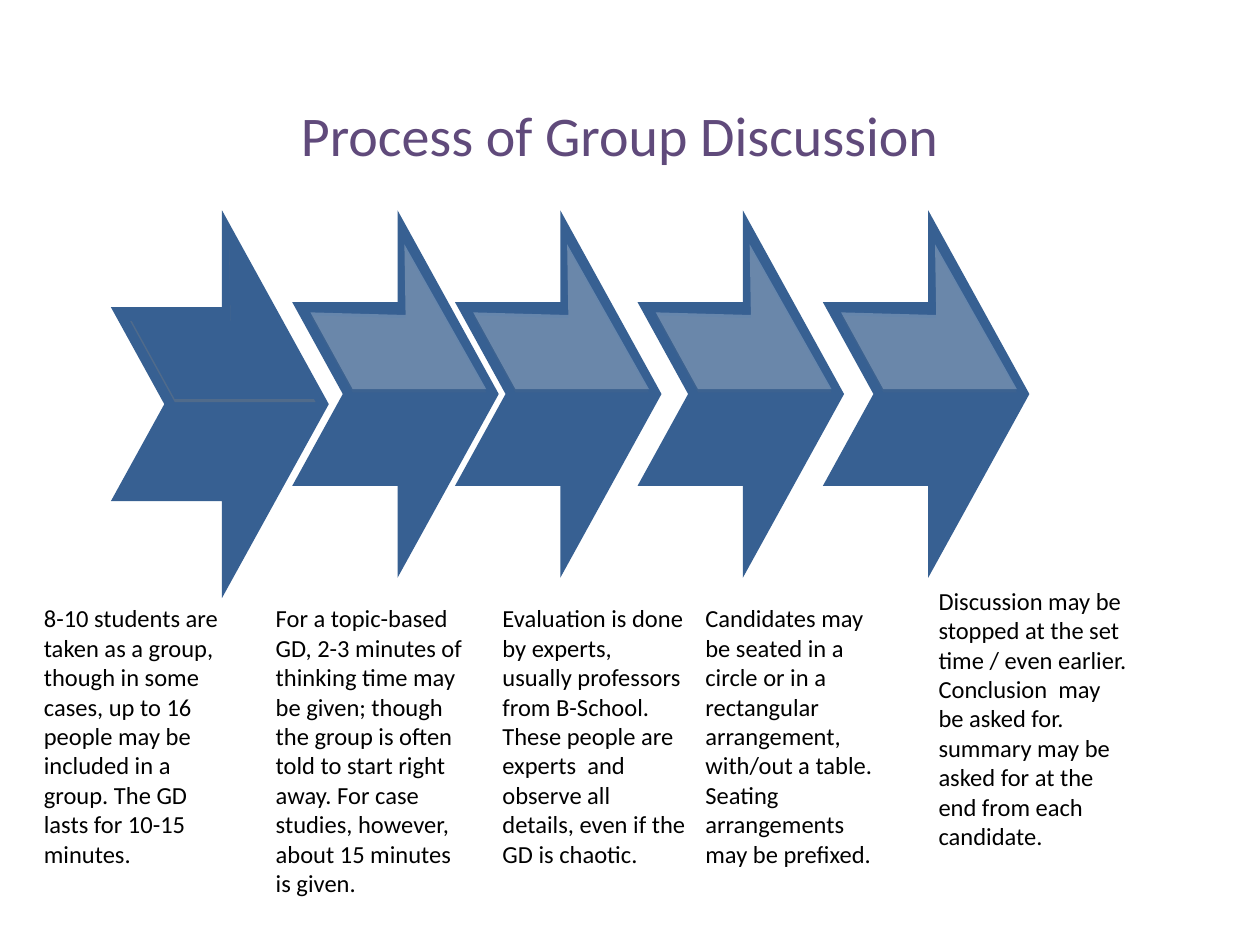
from lxml import etree
from pptx import Presentation
from pptx import util as u
from pptx.dml.color import RGBColor
from pptx.enum import shapes, text
from pptx.oxml.ns import qn

ARROW_WIDTH, ARROW_HEIGHT = 118, 210
GLINT = [(10.4, 58.3), (64.8, 59.8), (64.1, 19.4), (110.9, 102.2), (34.6, 102.2)]

STEPS = [
    (63.4, 1.055, (18, 341.3, 115.2, 160),
     "8-10 students are taken as a group, though in some cases, up to 16 people "
     "may be included in a group. The GD lasts for 10-15 minutes."),
    (167, 1, (150.5, 341.3, 124.6, 177),
     "For a topic-based GD, 2-3 minutes of thinking time may be given; though the "
     "group is often told to start right away. For case studies, however, about "
     "15 minutes is given."),
    (260, 1, (280, 341.3, 118.8, 160),
     "Evaluation is done by experts, usually professors from B-School. These people "
     "are experts  and observe all details, even if the GD is chaotic."),
    (364.3, 1, (396, 341.3, 113, 160),
     "Candidates may be seated in a circle or in a rectangular arrangement, with/out "
     "a table. Seating arrangements may be prefixed."),
    (470.2, 1, (529.2, 331.2, 123.1, 160),
     "Discussion may be stopped at the set time / even earlier. Conclusion  may be "
     "asked for.  summary may be asked for at the end from each candidate."),
]


def color(value):
    return RGBColor.from_string(value)


def set_alpha(parent, percent):
    etree.SubElement(parent, qn("a:alpha"), val=str(percent * 1000))


def write(frame, wording, size=14, fill="000000", align=None, before=0):
    paragraph = frame.paragraphs[0]
    paragraph.alignment = align
    paragraph.space_before = u.Pt(before)
    run = paragraph.add_run()
    run.text = wording
    run.font.name = "Calibri"
    run.font.size = u.Pt(size)
    run.font.color.rgb = color(fill)


class Deck:
    blue = "376092"
    purple = "604A7B"

    def __init__(self):
        self.presentation = Presentation()
        self.presentation.slide_width = u.Pt(720)
        self.presentation.slide_height = u.Pt(540)
        self.slide = self.presentation.slides.add_slide(self.presentation.slide_layouts[6])

    def paint(self, shape, fill):
        shape.fill.solid()
        shape.fill.fore_color.rgb = color(fill)
        shape.line.fill.background()
        shape.shadow.inherit = False

    def arrow(self, left, top, scale, glint_fill, glint_alpha):
        members = self.slide.shapes.add_group_shape().shapes
        body = members.add_shape(
            shapes.MSO_SHAPE.NOTCHED_RIGHT_ARROW, u.Pt(left), u.Pt(top),
            u.Pt(ARROW_WIDTH * scale), u.Pt(ARROW_HEIGHT * scale))
        body.adjustments[0] = 0.5
        body.adjustments[1] = 0.49
        self.paint(body, self.blue)
        self.glint(members, left, top, scale, glint_fill, glint_alpha)

    def glint(self, members, left, top, scale, fill, alpha):
        corners = [(u.Pt(left + x * scale), u.Pt(top + y * scale)) for x, y in GLINT]
        outline = members.build_freeform(*corners[0])
        outline.add_line_segments(corners[1:], close=True)
        glint = outline.convert_to_shape()
        self.paint(glint, fill)
        properties = glint.element.spPr
        set_alpha(properties.find(qn("a:solidFill"))[0], alpha)
        shadow = etree.SubElement(
            properties.find(qn("a:effectLst")), qn("a:outerShdw"),
            dist=str(u.Pt(1.8)), dir="5400000", rotWithShape="0")
        set_alpha(etree.SubElement(shadow, qn("a:srgbClr"), val="808080"), 35)

    def label(self, box, wording, **style):
        frame = self.slide.shapes.add_textbox(*map(u.Pt, box)).text_frame
        frame.word_wrap = True
        frame.auto_size = text.MSO_AUTO_SIZE.SHAPE_TO_FIT_TEXT
        write(frame, wording, **style)


def main():
    deck = Deck()
    deck.label((78.5, 54, 551.5, 46), "Process of Group Discussion",
               size=32, fill=deck.purple, align=text.PP_ALIGN.CENTER)
    for index, (left, scale, box, wording) in enumerate(STEPS):
        glint_fill, glint_alpha = ("FFFFFF", 24) if index else (deck.blue, 100)
        deck.arrow(left, 120.2, scale, glint_fill, glint_alpha)
        deck.label(box, wording, before=2.8)
    deck.presentation.save("out.pptx")


if __name__ == "__main__":
    main()
